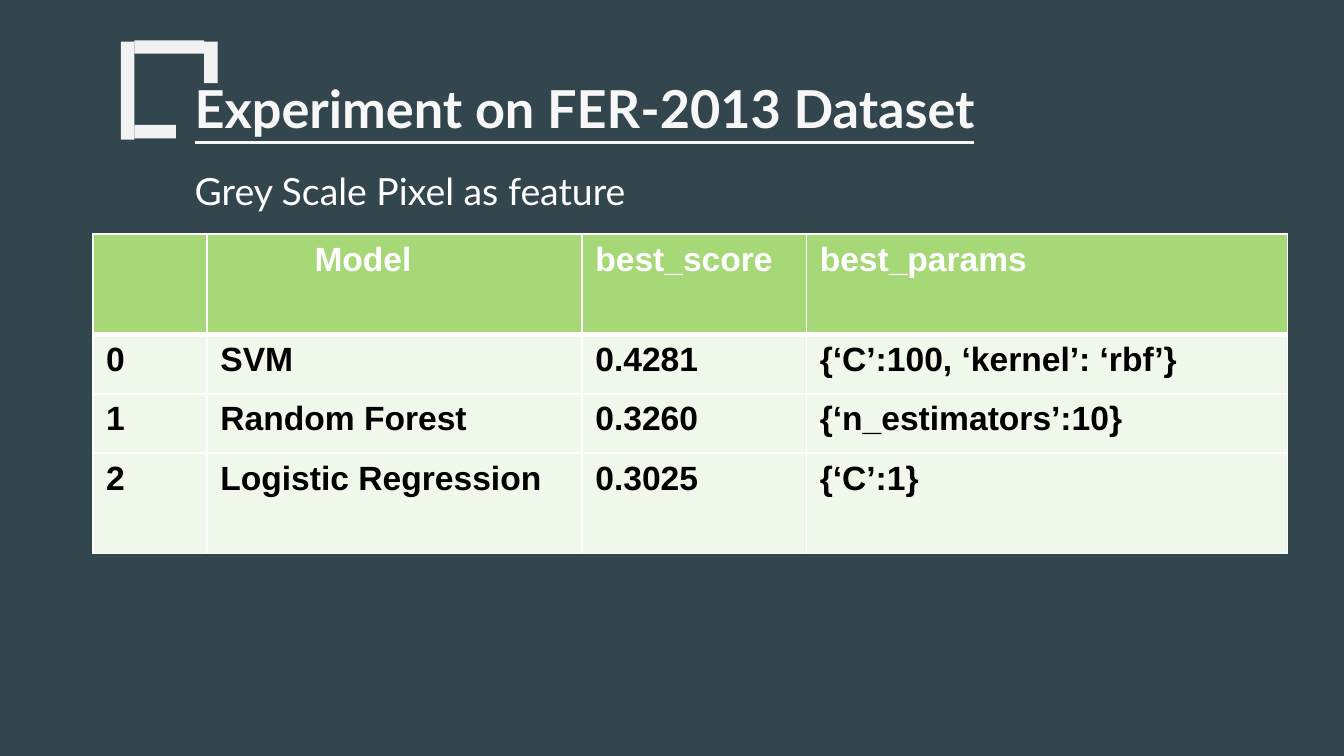
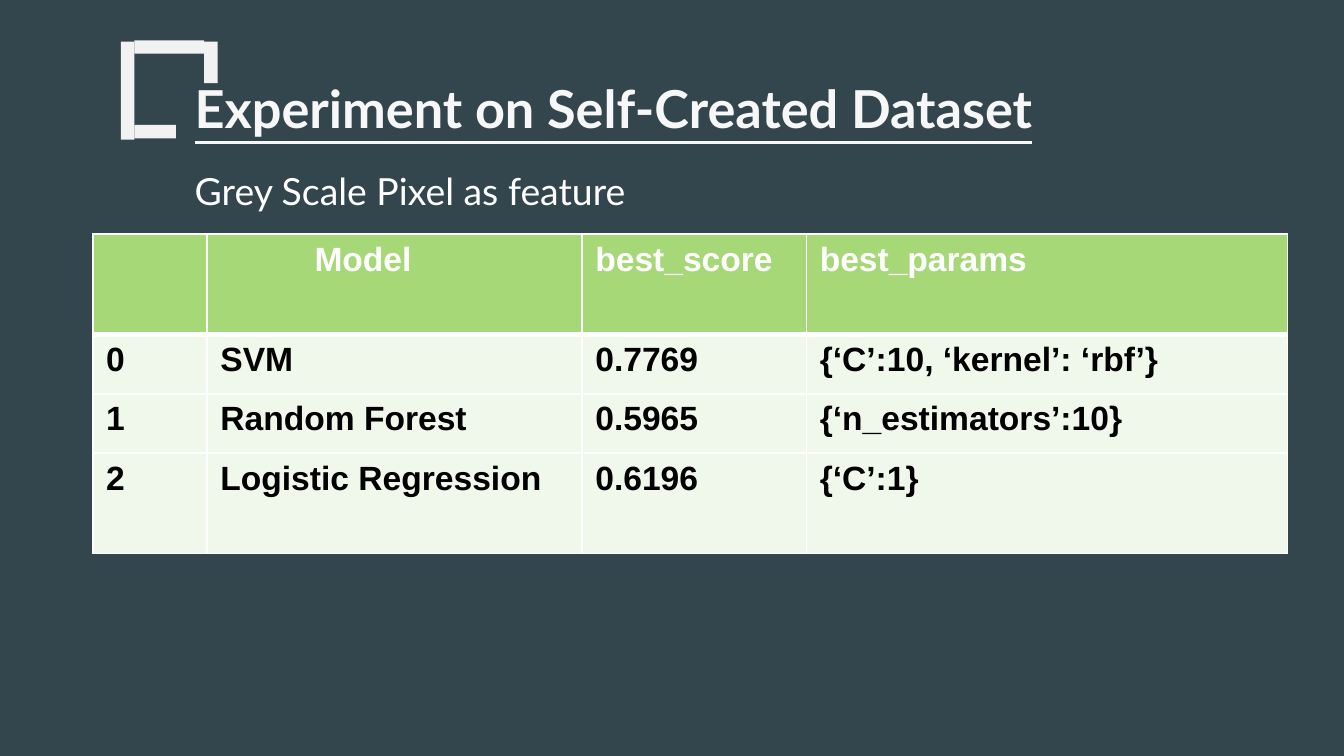
"""Build two slides that report model scores on two face datasets."""
from lxml.etree import SubElement
from pptx import Presentation
from pptx.dml.color import RGBColor
from pptx.enum.shapes import MSO_SHAPE
from pptx.oxml.ns import qn
from pptx.util import Inches, Pt

SLATE = RGBColor(0x34, 0x46, 0x4D)
FRAME_GREY = RGBColor(0xF2, 0xF2, 0xF2)
TITLE_WHITE = RGBColor(0xF7, 0xF7, 0xF7)
WHITE = RGBColor(0xFF, 0xFF, 0xFF)
BLACK = RGBColor(0, 0, 0)
HEADER_GREEN = RGBColor(0xA7, 0xD8, 0x78)
BODY_GREEN = RGBColor(0xF0, 0xF7, 0xEB)

SUBTITLE = "Grey Scale Pixel as feature"
HEADER = ("", "Model", "best_score", "best_params")
MODELS = ("SVM", "Random Forest", "Logistic Regression")
EXPERIMENTS = (
    ("Experiment on FER-2013 Dataset",
     ("0.4281", "0.3260", "0.3025"),
     ("{‘C’:100, ‘kernel’: ‘rbf’}", "{‘n_estimators’:10}", "{‘C’:1}")),
    ("Experiment on Self-Created Dataset",
     ("0.7769", "0.5965", "0.6196"),
     ("{‘C’:10, ‘kernel’: ‘rbf’}", "{‘n_estimators’:10}", "{‘C’:1}")),
)

SLIDE_WIDTH = 10
SLIDE_SIZE = (SLIDE_WIDTH, SLIDE_WIDTH * 9 / 16)
BAR = 0.1
FRAME_BARS = (
    (1, 0.3, 0.52, BAR),
    (0.9, 0.31, BAR, 0.73),
    (1.52, 0.31, BAR, 0.31),
    (1, 0.93, 0.31, BAR),
)
TITLE_BOX = (1.35, 0.52, 7.81, 0.62)
SUBTITLE_BOX = (1.35, 1.15, 7.81, 3.63)
TABLE_CORNER = (0.69, 1.74)
COLUMN_WIDTHS = (0.85, 2.79, 1.67, 3.58)
ROW_HEIGHTS = (0.75, 0.44, 0.44, 0.75)
MODEL_INDENT = 0.8
THIN, THICK = 0.96, 3


def inches(lengths):
    return [Inches(length) for length in lengths]


def add_run(paragraph, text, font_name, size, color, bold=False, underline=False):
    run = paragraph.add_run()
    run.text = text
    font = run.font
    font.name, font.size = font_name, Pt(size)
    font.bold, font.underline = bold, underline
    font.color.rgb = color


def add_frame(slide):
    group = slide.shapes.add_group_shape()
    for bar in FRAME_BARS:
        shape = group.shapes.add_shape(MSO_SHAPE.RECTANGLE, *inches(bar))
        shape.shadow.inherit = False
        shape.fill.solid()
        shape.fill.fore_color.rgb = FRAME_GREY
        shape.line.fill.background()


def add_text(slide, box, text, size, color, top_inset=0.05, space_before=0, **style):
    text_frame = slide.shapes.add_textbox(*inches(box)).text_frame
    text_frame.word_wrap = True
    text_frame.margin_top = Inches(top_inset)
    paragraph = text_frame.paragraphs[0]
    paragraph.space_before = Pt(space_before)
    add_run(paragraph, text, "Lato", size, color, **style)


def add_borders(cell, top, bottom):
    properties = cell._tc.get_or_add_tcPr()
    for side, width in (("L", THIN), ("R", THIN), ("T", top), ("B", bottom)):
        line = SubElement(properties, qn(f"a:ln{side}"), w=str(Pt(width)))
        fill = SubElement(line, qn("a:solidFill"))
        SubElement(fill, qn("a:srgbClr"), val=str(WHITE))


def add_score_table(slide, rows):
    size = (sum(COLUMN_WIDTHS), sum(ROW_HEIGHTS))
    table = slide.shapes.add_table(
        len(rows), len(HEADER), *inches(TABLE_CORNER + size)).table
    for column, width in zip(table.columns, COLUMN_WIDTHS):
        column.width = Inches(width)
    for index, (row, height) in enumerate(zip(rows, ROW_HEIGHTS)):
        table.rows[index].height = Inches(height)
        is_header = index == 0
        for column_index, text in enumerate(row):
            cell = table.cell(index, column_index)
            add_borders(cell, THICK if index == 1 else THIN,
                        THICK if is_header else THIN)
            cell.fill.solid()
            cell.fill.fore_color.rgb = HEADER_GREEN if is_header else BODY_GREEN
            if text:
                add_run(cell.text_frame.paragraphs[0], text, "Arial", 18,
                        WHITE if is_header else BLACK, bold=True)
    table.cell(0, HEADER.index("Model")).margin_left = Inches(MODEL_INDENT)


def add_experiment(presentation, title, scores, params):
    slide = presentation.slides.add_slide(presentation.slide_layouts[6])
    slide.background.fill.solid()
    slide.background.fill.fore_color.rgb = SLATE
    add_frame(slide)
    add_text(slide, TITLE_BOX, title, 28, TITLE_WHITE, bold=True, underline=True)
    add_text(slide, SUBTITLE_BOX, SUBTITLE, 20, WHITE, top_inset=0.1, space_before=12)
    numbers = map(str, range(len(MODELS)))
    add_score_table(slide, [HEADER, *zip(numbers, MODELS, scores, params)])


def main():
    presentation = Presentation()
    presentation.slide_width, presentation.slide_height = inches(SLIDE_SIZE)
    for experiment in EXPERIMENTS:
        add_experiment(presentation, *experiment)
    presentation.save("out.pptx")


if __name__ == "__main__":
    main()
